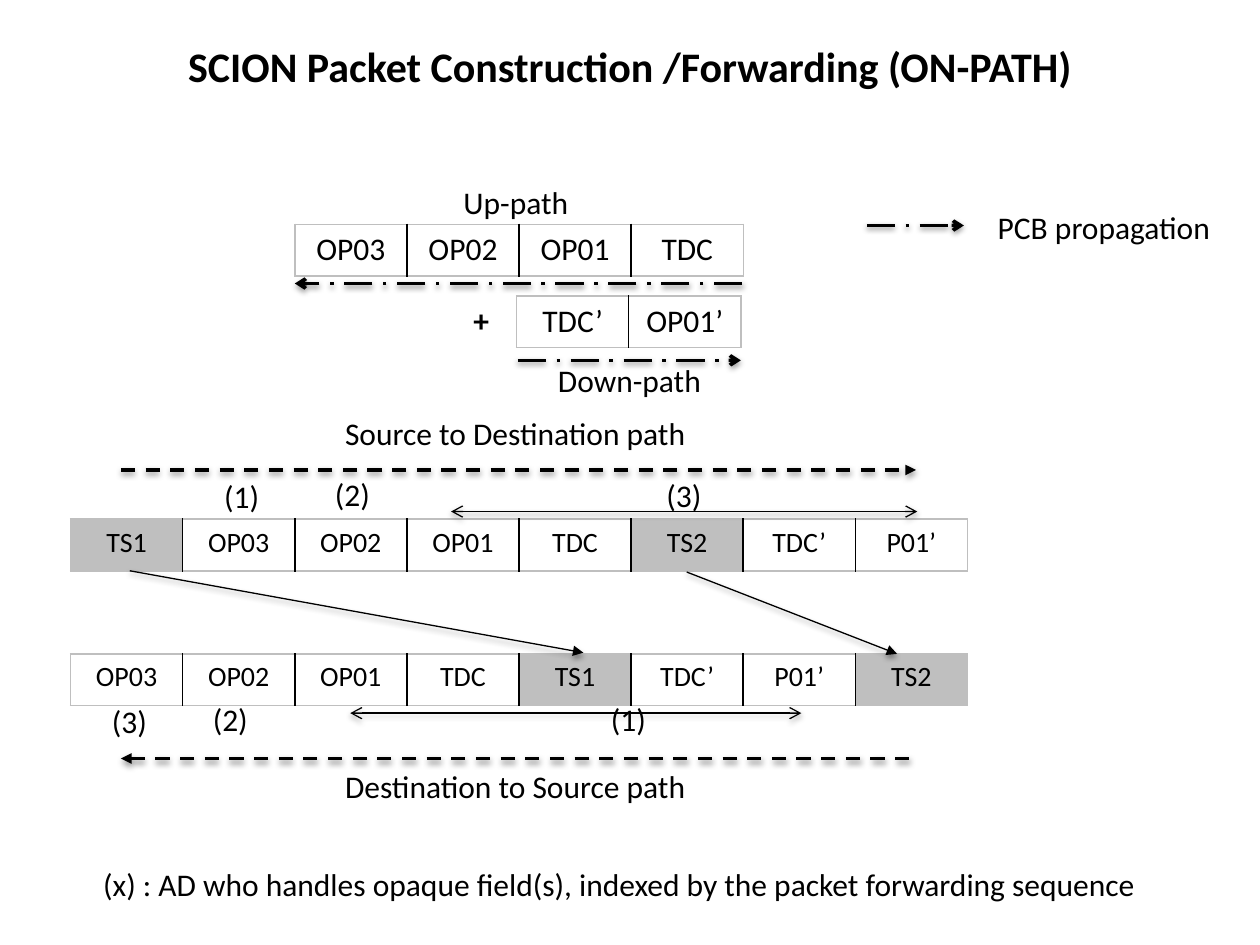
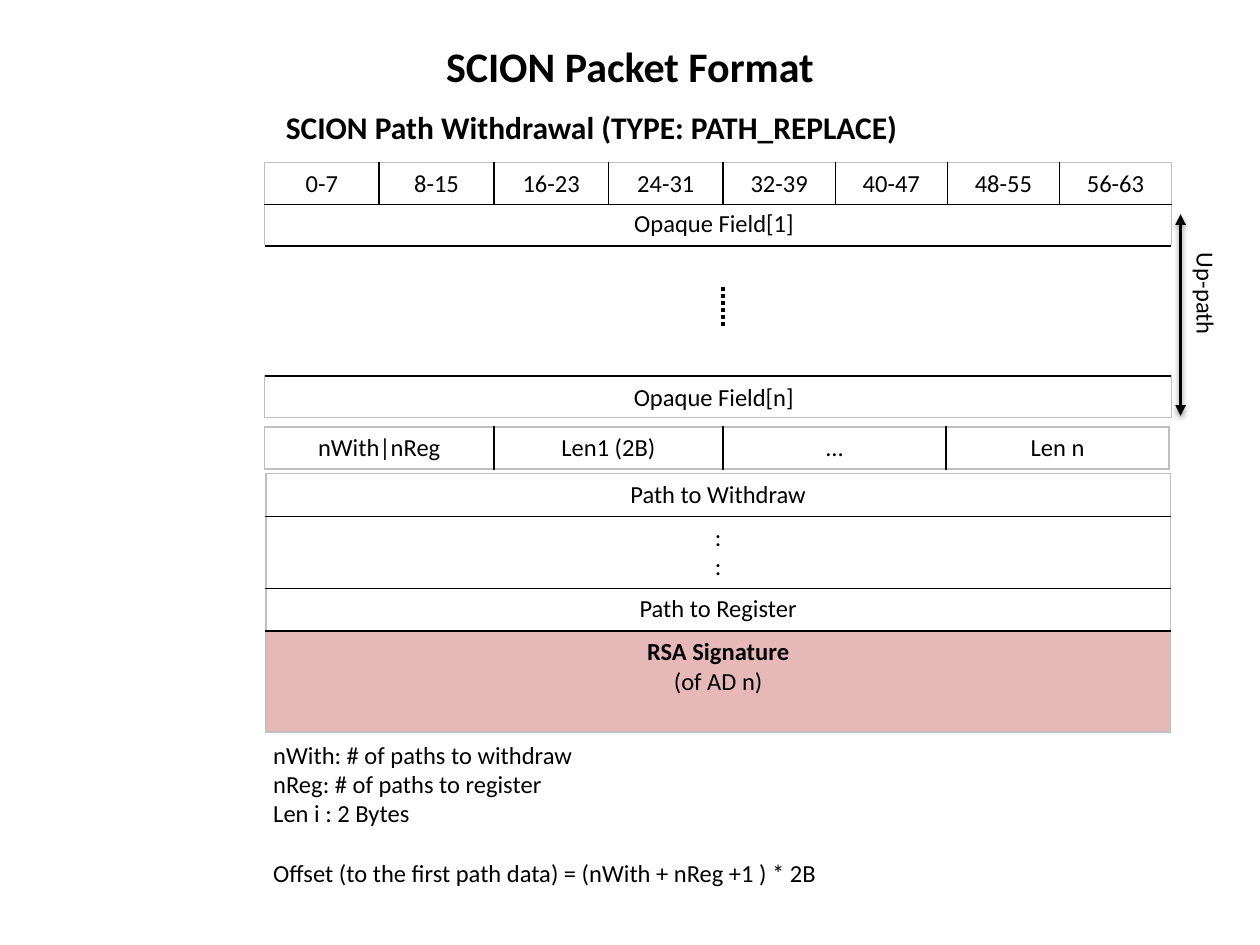
from lxml.etree import SubElement
from pptx import Presentation
from pptx.dml.color import RGBColor
from pptx.enum.dml import MSO_LINE
from pptx.enum.shapes import MSO_CONNECTOR
from pptx.enum.text import MSO_AUTO_SIZE, PP_ALIGN
from pptx.oxml.ns import qn
from pptx.util import Inches, Pt

COLORS = {"black": "000000", "white": "FFFFFF", "edge": "BFBFBF",
          "timestamp": "BFBFBF", "signature": "E6B9B8"}
FONT = "Calibri"
FIELD_WIDTH = 0.89
FIELD_HEIGHT = 0.41
TIMESTAMPS = {"TS1": "timestamp", "TS2": "timestamp"}


def color(name):
    return RGBColor.from_string(COLORS[name])


def add_run(paragraph, text, size, bold=False):
    run = paragraph.add_run()
    run.text = text
    run.font.name = FONT
    run.font.size = Pt(size)
    run.font.bold = bold
    run.font.color.rgb = color("black")


def add_text(shapes, box, text, size=18, bold=False, align=PP_ALIGN.LEFT, wrap=False):
    shape = shapes.add_textbox(*map(Inches, box))
    frame = shape.text_frame
    frame.word_wrap = wrap
    frame.auto_size = MSO_AUTO_SIZE.SHAPE_TO_FIT_TEXT
    for index, line in enumerate(text.split("\n")):
        paragraph = frame.add_paragraph() if index else frame.paragraphs[0]
        paragraph.alignment = align
        add_run(paragraph, line, size, bold)
    return shape


def add_title(slide, text, width):
    add_text(slide.shapes, ((10 - width) / 2, 0.27, width, 0.5), text, 24, True, PP_ALIGN.CENTER)


def add_line(slide, start, end, width=2, dash=None, head=None, tail=None, shadow=True):
    points = [Inches(value) for value in (*start, *end)]
    connector = slide.shapes.add_connector(MSO_CONNECTOR.STRAIGHT, *points)
    connector.line.color.rgb = color("black")
    connector.line.width = Pt(width)
    if dash is not None:
        connector.line.dash_style = dash
    properties = connector._element.spPr
    outline = properties.find(qn("a:ln"))
    for tag, kind in (("a:headEnd", head), ("a:tailEnd", tail)):
        if kind:
            SubElement(outline, qn(tag), type=kind)
    effects = SubElement(properties, qn("a:effectLst"))
    if shadow:
        outer = SubElement(effects, qn("a:outerShdw"), blurRad="40000", dist="20000",
                           dir="5400000", rotWithShape="0")
        tint = SubElement(outer, qn("a:srgbClr"), val=COLORS["black"])
        SubElement(tint, qn("a:alpha"), val="38000")


def set_borders(cell, sides):
    properties = cell._tc.get_or_add_tcPr()
    for side, name in zip("LRTB", sides):
        border = SubElement(properties, qn("a:ln" + side), w=str(Pt(1)))
        fill = SubElement(border, qn("a:solidFill"))
        SubElement(fill, qn("a:srgbClr"), val=COLORS[name])


def fill_cell(cell, text, size, bold_lines):
    if not text:
        cell.margin_top = cell.margin_bottom = 0
        return
    for index, line in enumerate(text.split("\n")):
        frame = cell.text_frame
        paragraph = frame.add_paragraph() if index else frame.paragraphs[0]
        paragraph.alignment = PP_ALIGN.CENTER
        add_run(paragraph, line, size, line in bold_lines)


def add_table(slide, left, top, widths, heights, rows, size,
              fills={}, bold_lines=(), open_rows=()):
    box = map(Inches, (left, top, sum(widths), sum(heights)))
    table = slide.shapes.add_table(len(heights), len(widths), *box).table
    table.first_row = table.horz_banding = False
    for column, width in zip(table.columns, widths):
        column.width = Inches(width)
    last_row, last_column = len(heights) - 1, len(widths) - 1
    for row, (height, texts) in enumerate(zip(heights, rows)):
        table.rows[row].height = Inches(height)
        merged = len(texts) == 1
        if merged and last_column:
            table.cell(row, 0).merge(table.cell(row, last_column))
        side = "white" if row in open_rows else "edge"
        for column in range(last_column + 1):
            cell = table.cell(row, column)
            text = texts[column] if column < len(texts) else ""
            set_borders(cell, (side if merged or column == 0 else "black",
                               side if merged or column == last_column else "black",
                               "black" if row else "edge",
                               "black" if row < last_row else "edge"))
            cell.fill.solid()
            cell.fill.fore_color.rgb = color(fills.get(text, "white"))
            fill_cell(cell, text, size, bold_lines)


def add_fields(slide, left, top, names, size):
    add_table(slide, left, top, [FIELD_WIDTH] * len(names), [FIELD_HEIGHT],
              [names.split() if isinstance(names, str) else names], size, TIMESTAMPS)


def add_steps(slide, steps):
    group = slide.shapes.add_group_shape()
    for text, left, top in steps:
        add_text(group.shapes, (left, top, 0.48, 0.4), text)


def build_forwarding(slide):
    add_title(slide, "SCION Packet Construction /Forwarding (ON-PATH)", 7.29)
    add_fields(slide, 4.1, 2.35, ["TDC’", "OP01’"], 18)
    add_fields(slide, 0.56, 4.12,
               ["TS1", "OP03", "OP02", "OP01", "TDC", "TS2", "TDC’", "P01’"], 16)
    add_fields(slide, 2.34, 1.78, ["OP03", "OP02", "OP01", "TDC"], 18)
    add_fields(slide, 0.56, 5.19,
               ["OP03", "OP02", "OP01", "TDC", "TS1", "TDC’", "P01’", "TS2"], 16)
    for left, top, width, text in (
            (3.58, 1.4, 1.04, "Up-path"),
            (4.33, 2.82, 1.35, "Down-path"),
            (7.82, 1.6, 1.91, "PCB propagation"),
            (2.64, 3.24, 2.94, "Source to Destination path"),
            (2.64, 6.04, 2.94, "Destination to Source path"),
            (0.72, 6.82, 8.51, "(x) : AD who handles opaque field(s), "
                               "indexed by the packet forwarding sequence")):
        add_text(slide.shapes, (left, top, width, 0.4), text)
    add_text(slide.shapes, (3.66, 2.34, 0.33, 0.4), "+", bold=True)
    for start, end in (((6.88, 1.79), (7.65, 1.79)),
                       ((4.11, 2.86), (5.88, 2.86)),
                       ((5.89, 2.25), (2.34, 2.25))):
        add_line(slide, start, end, dash=MSO_LINE.LONG_DASH_DOT, tail="arrow")
    add_line(slide, (0.96, 3.73), (7.27, 3.73), dash=MSO_LINE.DASH, tail="triangle")
    add_line(slide, (0.96, 6.02), (7.27, 6.02), dash=MSO_LINE.DASH, head="triangle")
    add_line(slide, (5.45, 4.54), (7.12, 5.19), 0.75, tail="triangle")
    add_line(slide, (1.03, 4.53), (4.63, 5.18), 0.75, tail="triangle")
    add_steps(slide, (("(1)", 1.68, 3.74), ("(2)", 2.56, 3.72), ("(3)", 5.19, 3.73)))
    add_steps(slide, (("(3)", 0.79, 5.52), ("(2)", 1.59, 5.51), ("(1)", 4.75, 5.51)))
    add_line(slide, (2.78, 5.66), (6.36, 5.66), 0.75, head="arrow", tail="arrow")
    add_line(slide, (3.58, 4.06), (7.28, 4.06), 0.75, head="arrow", tail="arrow")


def build_format(slide):
    add_title(slide, "SCION Packet Format", 3.18)
    add_text(slide.shapes, (2.17, 0.81, 5.16, 0.4),
             "SCION Path Withdrawal (TYPE: PATH_REPLACE)", bold=True)
    add_table(slide, 2.1, 3.39, [1.82, 1.82, 1.77, 1.77], [0.33],
              [["nWith|nReg", "Len1 (2B)", "…", "Len n"]], 14)
    add_table(slide, 2.11, 3.76, [7.18], [0.34, 0.57, 0.34, 0.8],
              [["Path to Withdraw"], [":\n:"], ["Path to Register"],
               ["RSA Signature\n(of AD n)"]], 14,
              {"RSA Signature\n(of AD n)": "signature"}, ("RSA Signature",))
    notes = add_text(slide.shapes, (2.07, 5.82, 7.22, 1.28),
                     "nWith: # of paths to withdraw\nnReg: # of paths to register\n"
                     "Len i : 2 Bytes\n"
                     "Offset (to the first path data) = (nWith + nReg +1 ) * 2B", 14, wrap=True)
    notes.text_frame.paragraphs[-1].space_before = Pt(17)
    bit_ranges = [f"{first}-{first + 7}" for first in range(0, 64, 8)]
    add_table(slide, 2.1, 1.29, [0.91] * 4 + [0.89] * 4, [0.33, 0.33, 1.03, 0.33],
              [bit_ranges, [""], [""], [""]], 14, open_rows=(2,))
    for top, index in ((1.6, "1"), (2.98, "n")):
        add_text(slide.shapes, (4.92, top, 1.48, 0.34), f"Opaque Field[{index}]", 14,
                 align=PP_ALIGN.RIGHT)
    add_line(slide, (5.74, 2.28), (5.74, 2.61), dash=MSO_LINE.ROUND_DOT, shadow=False)
    add_line(slide, (9.37, 1.7), (9.37, 3.3), head="triangle", tail="triangle")
    label = add_text(slide.shapes, (9.14, 2.17, 0.86, 0.34), "Up-path", 14)
    label.rotation = 90


def main():
    presentation = Presentation()
    presentation.slide_width = Inches(10)
    presentation.slide_height = Inches(7.5)
    for build in (build_forwarding, build_format):
        build(presentation.slides.add_slide(presentation.slide_layouts[6]))
    presentation.save("out.pptx")


main()
